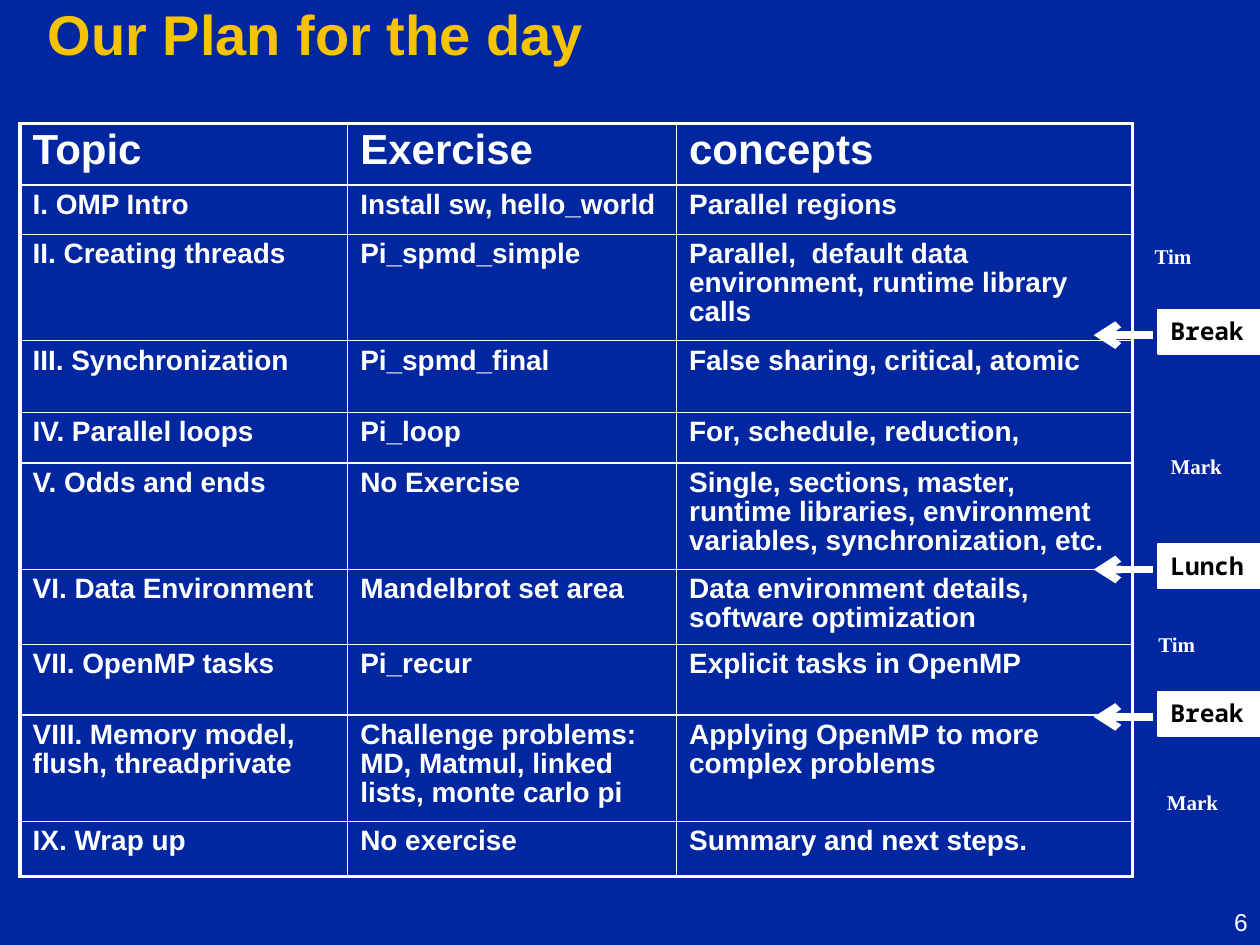
from typing import NamedTuple

from lxml import etree
from pptx import Presentation
from pptx import util as u
from pptx.dml.color import RGBColor
from pptx.enum import shapes, text
from pptx.oxml import ns

COLORS = {"background": "00279F", "title": "F5C300", "light": "FFFFFF", "dark": "000000"}
COLUMN_WIDTHS = (2.6, 2.61, 3.62)
ROW_HEIGHTS = (0.49, 0.39, 0.58, 0.57, 0.4, 0.61, 0.57, 0.56, 0.57, 0.44)
OUTER_BORDER, INNER_BORDER = 2.25, 1


class Session(NamedTuple):
    topic: str
    exercise: str
    concepts: str


class Pause(NamedTuple):
    label: str
    top: float


class Speaker(NamedTuple):
    name: str
    left: float
    top: float
    width: float


PLAN = (
    Session("Topic", "Exercise", "concepts"),
    Session("I. OMP Intro", "Install sw, hello_world", "Parallel regions"),
    Session("II. Creating threads", "Pi_spmd_simple",
            "Parallel,  default data environment, runtime library calls"),
    Session("III. Synchronization", "Pi_spmd_final", "False sharing, critical, atomic"),
    Session("IV. Parallel loops", "Pi_loop", "For, schedule, reduction,"),
    Session("V. Odds and ends", "No Exercise",
            "Single, sections, master, runtime libraries, environment variables, "
            "synchronization, etc."),
    Session("VI. Data Environment", "Mandelbrot set area",
            "Data environment details,  software optimization"),
    Session("VII. OpenMP tasks", "Pi_recur", "Explicit tasks in OpenMP"),
    Session("VIII. Memory model, flush, threadprivate",
            "Challenge problems: MD, Matmul, linked lists, monte carlo pi",
            "Applying OpenMP to more complex problems"),
    Session("IX. Wrap up", "No exercise", "Summary and next steps."),
)
PAUSES = (Pause("Break", 2.46), Pause("Break", 5.49), Pause("Lunch", 4.32))
SPEAKERS = (
    Speaker("Tim", 9.03, 1.88, 0.56),
    Speaker("Tim", 9.06, 4.96, 0.56),
    Speaker("Mark", 9.06, 3.55, 0.87),
    Speaker("Mark", 9.03, 6.22, 0.87),
)


def rgb(name: str) -> RGBColor:
    return RGBColor.from_string(COLORS[name])


def write(frame, content: str, size: float, color: str = "light", font: str = "Arial",
          bold: bool = True, align=text.PP_ALIGN.LEFT, spacing: float = 1.0) -> None:
    frame.text = content
    paragraph = frame.paragraphs[0]
    paragraph.alignment = align
    paragraph.line_spacing = spacing
    paragraph.font.size = u.Pt(size)
    paragraph.font.name = font
    paragraph.font.bold = bold
    paragraph.font.color.rgb = rgb(color)


def add_title(slide) -> None:
    title = slide.shapes.title
    title.left, title.top = u.Inches(0.28), u.Inches(0)
    title.width, title.height = u.Inches(9.29), u.Inches(0.6)
    title.text_frame.vertical_anchor = text.MSO_ANCHOR.MIDDLE
    write(title.text_frame, "Our Plan for the day", 32, "title", spacing=0.87)


def add_label(slide, content: str, left: float, top: float, width: float, height: float,
              **style) -> None:
    box = slide.shapes.add_textbox(*map(u.Inches, (left, top, width, height)))
    box.text_frame.word_wrap = True
    write(box.text_frame, content, **style)


def set_borders(cell, widths: dict[str, float]) -> None:
    properties = cell._tc.get_or_add_tcPr()
    for position, (side, width) in enumerate(widths.items()):
        line = etree.Element(ns.qn(f"a:ln{side}"), w=str(u.Pt(width)))
        fill = etree.SubElement(line, ns.qn("a:solidFill"))
        etree.SubElement(fill, ns.qn("a:srgbClr"), val=COLORS["light"])
        properties.insert(position, line)


def add_plan(slide) -> None:
    last_row, last_column = len(PLAN) - 1, len(COLUMN_WIDTHS) - 1
    table = slide.shapes.add_table(
        len(PLAN), len(COLUMN_WIDTHS), u.Inches(0.16), u.Inches(0.98),
        u.Inches(sum(COLUMN_WIDTHS)), u.Inches(sum(ROW_HEIGHTS))).table
    table.first_row = table.horz_banding = False
    for column, width in zip(table.columns, COLUMN_WIDTHS):
        column.width = u.Inches(width)
    for row, height in zip(table.rows, ROW_HEIGHTS):
        row.height = u.Inches(height)
    for r, session in enumerate(PLAN):
        for c, content in enumerate(session):
            cell = table.cell(r, c)
            cell.fill.background()
            write(cell.text_frame, content, 24 if r == 0 else 16, spacing=0.93)
            edges = {"L": c == 0, "R": c == last_column, "T": r == 0, "B": r == last_row}
            set_borders(cell, {side: OUTER_BORDER if outer else INNER_BORDER
                               for side, outer in edges.items()})


def add_pause(slide, pause: Pause) -> None:
    box = slide.shapes.add_shape(
        shapes.MSO_SHAPE.RECTANGLE, u.Inches(9.19), u.Inches(pause.top),
        u.Inches(0.81), u.Inches(0.35))
    box.shadow.inherit = False
    box.fill.solid()
    box.fill.fore_color.rgb = box.line.color.rgb = rgb("light")
    box.line.width = u.Pt(1)
    box.text_frame.word_wrap = False
    box.text_frame.vertical_anchor = text.MSO_ANCHOR.TOP
    write(box.text_frame, pause.label, 14, "dark", "Noto Sans Mono")

    arrow_y = u.Inches(pause.top + 0.2)
    arrow = slide.shapes.add_connector(
        shapes.MSO_CONNECTOR.STRAIGHT, u.Inches(9.15), arrow_y, u.Inches(8.68), arrow_y)
    arrow.line.color.rgb = rgb("light")
    arrow.line.width = u.Pt(4.5)
    etree.SubElement(arrow.line._get_or_add_ln(), ns.qn("a:tailEnd"), type="arrow")
    etree.SubElement(arrow._element.spPr, ns.qn("a:effectLst"))


def main() -> None:
    presentation = Presentation()
    presentation.slide_width, presentation.slide_height = u.Inches(10), u.Inches(7.5)
    slide = presentation.slides.add_slide(presentation.slide_layouts[5])
    slide.background.fill.solid()
    slide.background.fill.fore_color.rgb = rgb("background")
    add_label(slide, "6", 7.92, 7.15, 2.08, 0.35, size=14, bold=False,
              align=text.PP_ALIGN.RIGHT)
    add_title(slide)
    add_plan(slide)
    for pause in PAUSES:
        add_pause(slide, pause)
    for speaker in SPEAKERS:
        add_label(slide, speaker.name, speaker.left, speaker.top, speaker.width, 0.3,
                  size=12, font="Times New Roman", align=text.PP_ALIGN.CENTER)
    presentation.save("out.pptx")


if __name__ == "__main__":
    main()
